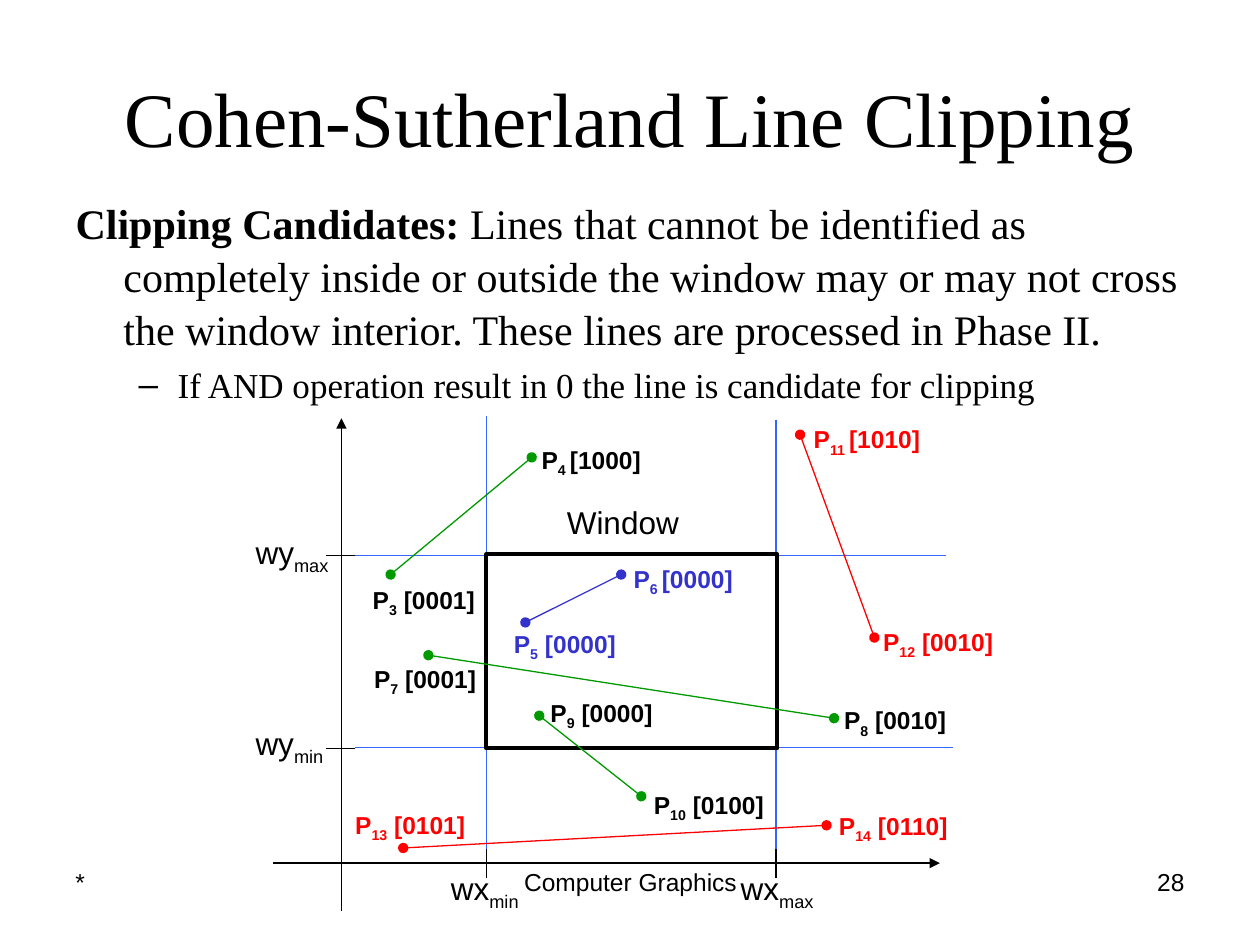
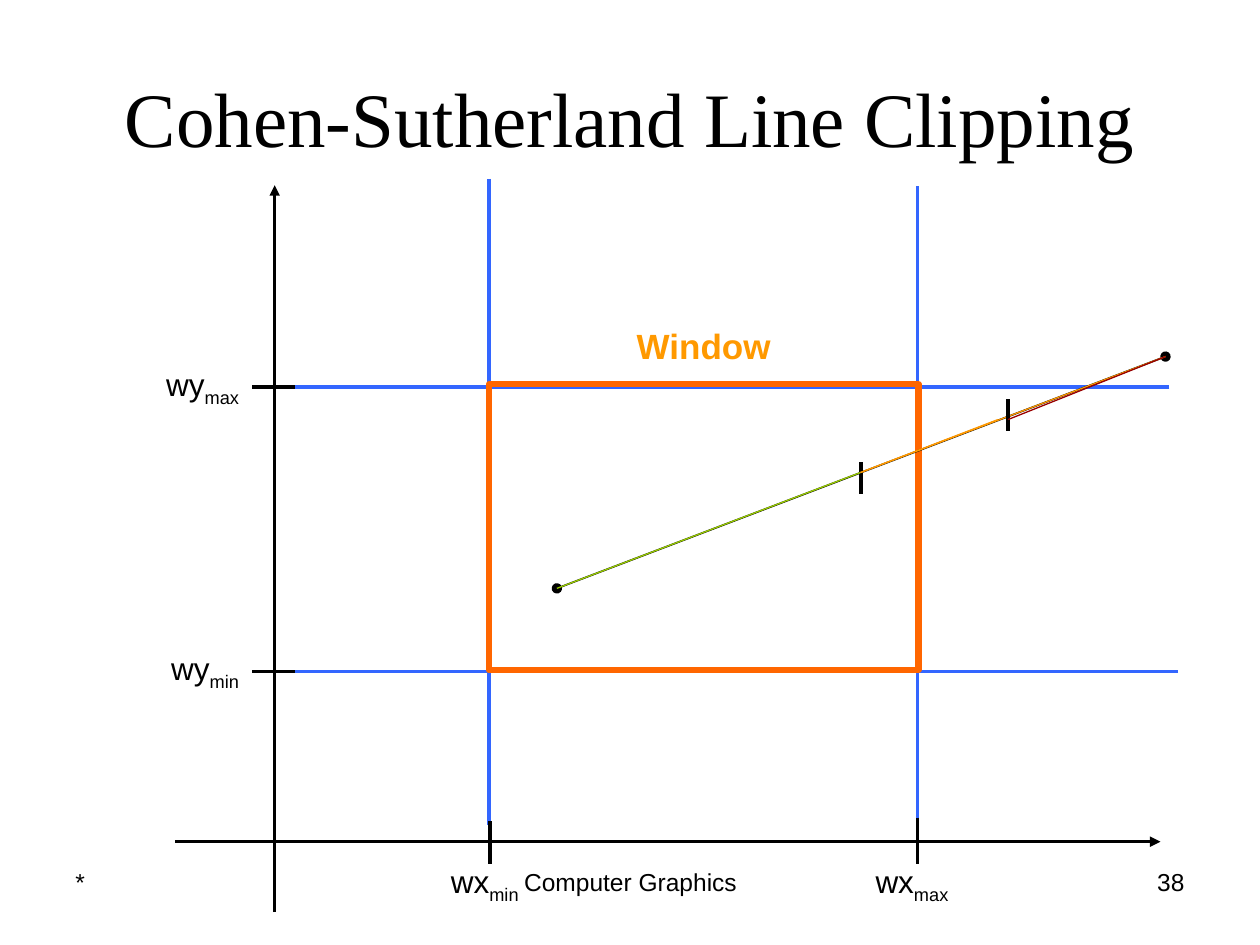
from lxml.etree import SubElement
from pptx import Presentation
from pptx.dml.color import RGBColor
from pptx.enum.shapes import MSO_CONNECTOR, MSO_SHAPE
from pptx.enum.text import MSO_ANCHOR, MSO_AUTO_SIZE, PP_ALIGN
from pptx.oxml.ns import qn
from pptx.util import Inches, Pt

BLACK = RGBColor(0x00, 0x00, 0x00)
BOUNDARY_BLUE = RGBColor(0x33, 0x66, 0xFF)
INSIDE_BLUE = RGBColor(0x33, 0x33, 0xCC)
CANDIDATE_GREEN = RGBColor(0x00, 0x99, 0x00)
OUTSIDE_RED = RGBColor(0xFF, 0x00, 0x00)
FRAME_ORANGE = RGBColor(0xFF, 0x66, 0x00)
HALF_ORANGE = RGBColor(0xFF, 0x99, 0x00)
HALF_GREEN = RGBColor(0x99, 0xCC, 0x00)
HALF_RED = RGBColor(0x99, 0x00, 0x00)

SERIF, SANS = "Times New Roman", "Arial"
TITLE = "Cohen-Sutherland Line Clipping"
FOOTER = "Computer Graphics"
LEAD = "Clipping Candidates: "
DEFINITION = (
    "Lines that cannot be identified as completely inside or outside the window "
    "may or may not cross the window interior. These lines are processed in Phase II."
)
AND_RULE = "If AND operation result in 0 the line is candidate for clipping"

# Lines are (x1, y1, x2, y2) in inches; label boxes are (left, top, width, height).
CANDIDATES_DIAGRAM = {
    "boundaries": [(3.86, 3.3, 3.86, 6.76), (6.16, 3.33, 6.16, 6.8),
                   (7.51, 4.41, 2.77, 4.41), (7.56, 5.93, 2.82, 5.93)],
    "axes": [(2.17, 6.85, 7.46, 6.85), (2.71, 7.23, 2.71, 3.32)],
    "window": (3.86, 4.4, 2.31, 1.54),
    "ticks": [(2.82, 4.41, 2.59, 4.41), (2.82, 5.94, 2.59, 5.94),
              (3.86, 6.74, 3.86, 6.97), (6.16, 6.74, 6.16, 6.97)],
    "limits": [("wy", "max", (1.93, 4.18, 0.82, 0.4)), ("wy", "min", (1.93, 5.7, 0.77, 0.4)),
               ("wx", "min", (3.48, 6.85, 0.77, 0.4)), ("wx", "max", (5.78, 6.85, 0.82, 0.4))],
    "line_width": 0.75, "window_color": BLACK, "window_width": 2.25,
}
MIDPOINT_DIAGRAM = {
    "boundaries": [(3.88, 1.42, 3.88, 6.55), (7.28, 1.48, 7.28, 6.61),
                   (9.28, 3.07, 2.27, 3.07), (9.35, 5.33, 2.34, 5.33)],
    "axes": [(1.39, 6.68, 9.21, 6.68), (2.18, 7.24, 2.18, 1.47)],
    "window": (3.88, 3.05, 3.41, 2.27),
    "ticks": [(2.34, 3.07, 2, 3.07), (2.34, 5.33, 2, 5.33),
              (3.89, 6.52, 3.89, 6.86), (7.28, 6.49, 7.28, 6.86)],
    "limits": [("wy", "max", (1.22, 2.85, 0.82, 0.4)), ("wy", "min", (1.26, 5.1, 0.78, 0.4)),
               ("wx", "min", (3.48, 6.79, 0.77, 0.4)), ("wx", "max", (6.85, 6.79, 0.82, 0.4))],
    "line_width": 2, "window_color": FRAME_ORANGE, "window_width": 3.5,
}
SEGMENTS = [
    ((4.17, 4.94, 4.93, 4.56), INSIDE_BLUE),
    ((3.1, 4.56, 4.22, 3.63), CANDIDATE_GREEN),
    ((4.28, 5.68, 5.09, 6.32), CANDIDATE_GREEN),
    ((3.4, 5.2, 6.62, 5.7), CANDIDATE_GREEN),
    ((6.94, 5.06, 6.35, 3.45), OUTSIDE_RED),
    ((3.2, 6.73, 6.56, 6.55), OUTSIDE_RED),
]
ENDPOINTS = [  # subscript, region code, left, top, width, colour
    ("3", " [0001]", 2.86, 4.59, 1.01, BLACK),
    ("6 ", "[0000]", 4.93, 4.43, 0.99, INSIDE_BLUE),
    ("5", " [0000]", 3.98, 4.94, 1.01, INSIDE_BLUE),
    ("7", " [0001]", 2.87, 5.22, 1.01, BLACK),
    ("10", " [0100]", 5.09, 6.22, 1.08, BLACK),
    ("9", " [0000]", 4.27, 5.49, 1.01, BLACK),
    ("4 ", "[1000]", 4.2, 3.48, 0.99, BLACK),
    ("8", " [0010]", 6.6, 5.55, 1.01, BLACK),
    ("12", " [0010]", 6.91, 4.93, 1.09, OUTSIDE_RED),
    ("11 ", "[1010]", 6.36, 3.32, 1.06, OUTSIDE_RED),
    ("13", " [0101]", 2.72, 6.38, 1.08, OUTSIDE_RED),
    ("14", " [0110]", 6.56, 6.39, 1.08, OUTSIDE_RED),
]
MIDPOINT_STEPS = [
    ((6.83, 3.67, 6.83, 3.92), BLACK, 2.25),
    ((4.42, 4.67, 6.83, 3.75), HALF_GREEN, 0.75),
    ((6.83, 3.75, 9.25, 2.83), HALF_ORANGE, 0.75),
    ((8, 3.17, 8, 3.42), BLACK, 2.25),
    ((8, 3.33, 9.25, 2.83), HALF_RED, 0.75),
    ((6.83, 3.75, 7.92, 3.33), HALF_ORANGE, 0.75),
]


def inches(values):
    return [Inches(value) for value in values]


def style(span, size, name=SANS, color=BLACK, bold=False):
    span.font.size = Pt(size)
    span.font.name = name
    span.font.bold = bold
    span.font.color.rgb = color


def add_line(page, ends, color, width, head=None, tail=None):
    line = page.shapes.add_connector(MSO_CONNECTOR.STRAIGHT, *inches(ends))
    line.line.color.rgb = color
    line.line.width = Pt(width)
    outline = line.line._get_or_add_ln()
    for tag, kind in (("a:headEnd", head), ("a:tailEnd", tail)):
        if kind:
            SubElement(outline, qn(tag), type=kind)
    SubElement(line._element.spPr, qn("a:effectLst"))


def add_text(page, place, parts, size, color=BLACK, bold=False,
             align=PP_ALIGN.LEFT, wrap=False):
    """Add a text box; the second of its parts, if any, is a subscript."""
    box = page.shapes.add_textbox(*inches(place))
    frame = box.text_frame
    frame.word_wrap = wrap
    frame.auto_size = MSO_AUTO_SIZE.NONE if wrap else MSO_AUTO_SIZE.SHAPE_TO_FIT_TEXT
    para = frame.paragraphs[0]
    para.alignment = align
    for index, text in enumerate(parts):
        span = para.add_run()
        span.text = text
        style(span, size, color=color, bold=bold)
        if index == 1:
            span.font._element.set("baseline", "-25000")


def add_page(deck, layout, number):
    page = deck.slides.add_slide(deck.slide_layouts[layout])
    for left, width, text, align in (
        (0.5, 2.33, "*", PP_ALIGN.LEFT),
        (3.42, 3.17, FOOTER, PP_ALIGN.CENTER),
        (7.17, 2.33, number, PP_ALIGN.RIGHT),
    ):
        add_text(page, (left, 6.83, width, 0.52), [text], 14, align=align, wrap=True)
    title = page.shapes.title
    title.left, title.top, title.width, title.height = inches((0.5, 0.3, 9, 1.25))
    title.text_frame.text = TITLE
    title.text_frame.vertical_anchor = MSO_ANCHOR.MIDDLE
    title.text_frame.auto_size = MSO_AUTO_SIZE.NONE
    para = title.text_frame.paragraphs[0]
    para.alignment = PP_ALIGN.CENTER
    style(para.runs[0], 44, SERIF)
    return page


def set_indent(para, margin, first_line):
    properties = para._p.get_or_add_pPr()
    properties.set("marL", str(Inches(margin)))
    properties.set("indent", str(Inches(first_line)))
    return properties


def fill_body(page):
    body = page.placeholders[1]
    body.left, body.top, body.width, body.height = inches((0.5, 1.5, 9, 4.95))
    frame = body.text_frame
    frame.auto_size = MSO_AUTO_SIZE.NONE

    definition = frame.paragraphs[0]
    SubElement(set_indent(definition, 0.38, -0.38), qn("a:buNone"))
    for text, bold in ((LEAD, True), (DEFINITION, False)):
        span = definition.add_run()
        span.text = text
        style(span, 24, SERIF, bold=bold)

    rule = frame.add_paragraph()
    rule.text = AND_RULE
    rule.level = 1
    SubElement(set_indent(rule, 0.81, -0.31), qn("a:buChar"), char="–")
    style(rule.runs[0], 20, SERIF)

    for para, space in ((definition, 0), (rule, 4)):
        para.space_before = Pt(space)
        para.line_spacing = 1.05


def draw_diagram(page, diagram):
    """Draw the window with its boundaries, axes, ticks and limit names."""
    width = diagram["line_width"]
    for ends in diagram["boundaries"]:
        add_line(page, ends, BOUNDARY_BLUE, width)
    for ends in diagram["axes"]:
        add_line(page, ends, BLACK, width, tail="triangle")
    window = page.shapes.add_shape(MSO_SHAPE.RECTANGLE, *inches(diagram["window"]))
    window.shadow.inherit = False
    window.fill.background()
    window.line.color.rgb = diagram["window_color"]
    window.line.width = Pt(diagram["window_width"])
    for ends in diagram["ticks"]:
        add_line(page, ends, BLACK, width)
    for axis, limit, place in diagram["limits"]:
        add_text(page, place, [axis, limit], 18)


def build_candidates(deck):
    page = add_page(deck, 1, "28")
    fill_body(page)
    draw_diagram(page, CANDIDATES_DIAGRAM)
    add_text(page, (4.4, 3.94, 1.09, 0.4), ["Window"], 18)
    for ends, color in SEGMENTS:
        add_line(page, ends, color, 0.75, "oval", "oval")
    for subscript, code, left, top, width, color in ENDPOINTS:
        add_text(page, (left, top, width, 0.33), ["P", subscript, code], 14, color, True)


def build_midpoints(deck):
    page = add_page(deck, 5, "38")
    draw_diagram(page, MIDPOINT_DIAGRAM)
    add_text(page, (4.95, 2.53, 1.27, 0.43), ["Window"], 20, HALF_ORANGE, True,
             PP_ALIGN.CENTER)
    add_line(page, (4.42, 4.67, 9.25, 2.83), BLACK, 1, "oval", "oval")
    for ends, color, width in MIDPOINT_STEPS:
        add_line(page, ends, color, width)


def main():
    deck = Presentation()
    deck.slide_width, deck.slide_height = inches((10, 7.5))
    build_candidates(deck)
    build_midpoints(deck)
    deck.save("out.pptx")


if __name__ == "__main__":
    main()
